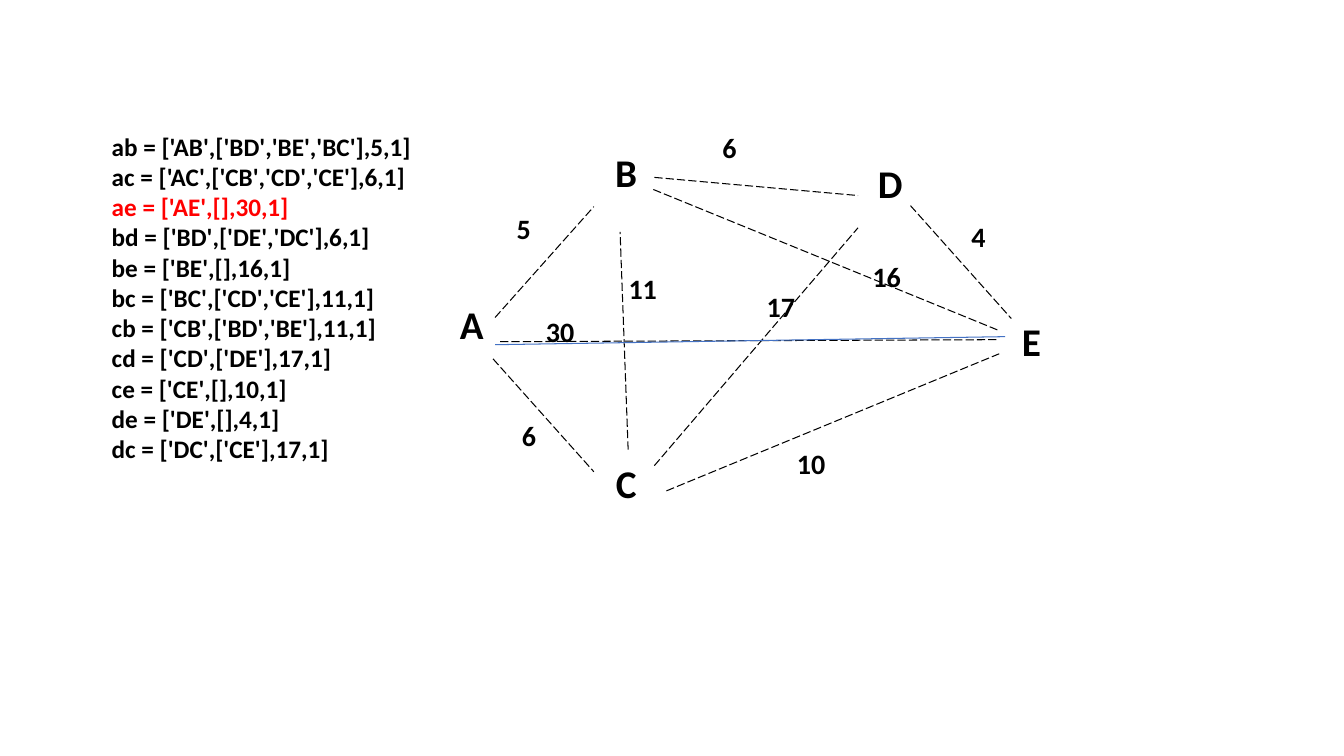
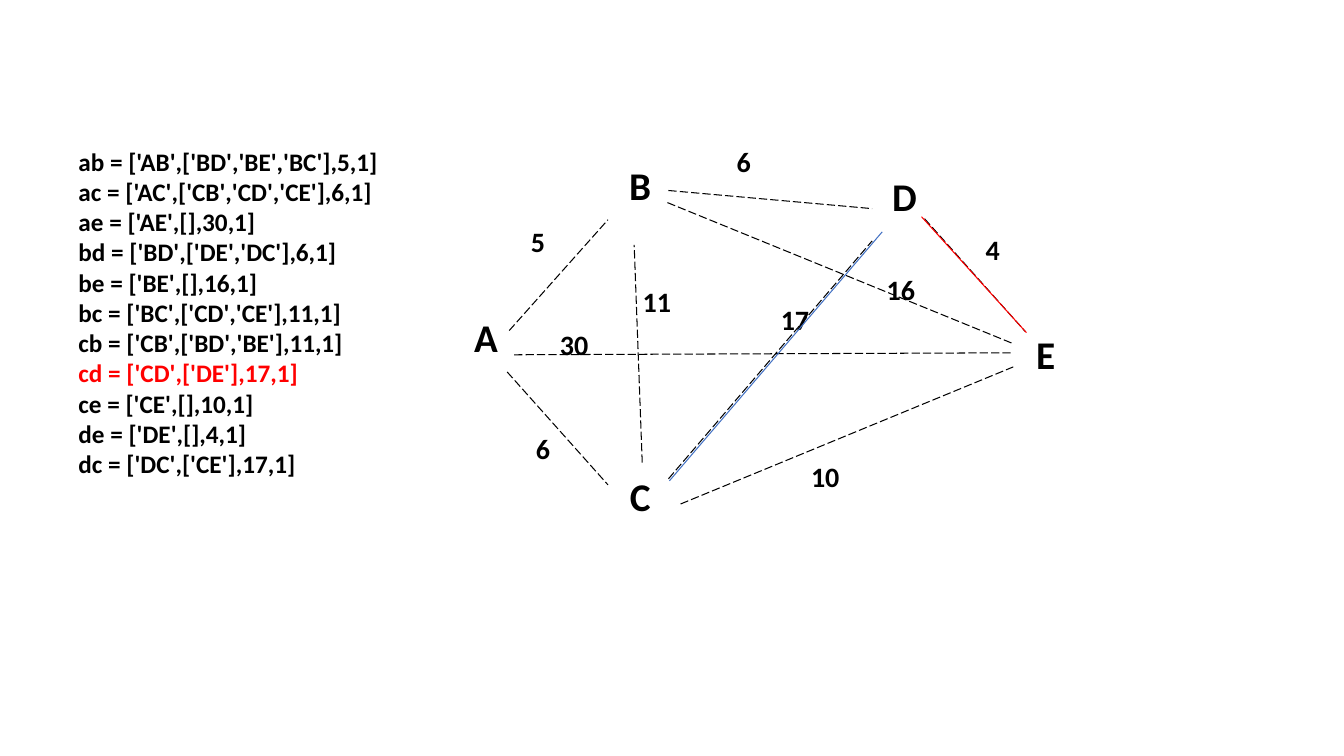
"""Build two slides that trace paths through a weighted graph."""
from dataclasses import dataclass

from lxml import etree
from pptx import Presentation
from pptx.dml.color import RGBColor
from pptx.enum.dml import MSO_LINE
from pptx.enum.shapes import MSO_CONNECTOR
from pptx.enum.text import PP_ALIGN
from pptx.oxml.ns import qn
from pptx.util import Inches, Pt

CENTER, LEFT = PP_ALIGN.CENTER, PP_ALIGN.LEFT
STRAIGHT = MSO_CONNECTOR.STRAIGHT
LONG_DASH = MSO_LINE.LONG_DASH


@dataclass(frozen=True)
class Theme:
    font: str = "Calibri"
    ink: RGBColor = RGBColor(0, 0, 0)
    accent: RGBColor = RGBColor(0xFF, 0, 0)
    path_line: RGBColor = RGBColor(0x44, 0x72, 0xC4)
    node_size: int = 28
    weight_size: int = 20
    list_size: int = 18
    line_width: float = 0.75


THEME = Theme()

ROUTES = [
    "ab = ['AB',['BD','BE','BC'],5,1]",
    "ac = ['AC',['CB','CD','CE'],6,1]",
    "ae = ['AE',[],30,1]",
    "bd = ['BD',['DE','DC'],6,1]",
    "be = ['BE',[],16,1]",
    "bc = ['BC',['CD','CE'],11,1]",
    "cb = ['CB',['BD','BE'],11,1]",
    "cd = ['CD',['DE'],17,1]",
    "ce = ['CE',[],10,1]",
    "de = ['DE',[],4,1]",
    "dc = ['DC',['CE'],17,1]",
]

NODES = [("A", 4.36, 2.93), ("E", 9.91, 3.1), ("B", 5.89, 1.42),
         ("C", 5.89, 4.51), ("D", 8.51, 1.53)]

EDGES = [
    (4.89, 3.56, 5.89, 4.68),
    (6.23, 4.46, 6.15, 2.3),
    (6.49, 1.76, 8.51, 1.94),
    (4.91, 3.15, 5.89, 2.05),
    (6.48, 1.88, 9.91, 3.28),
    (6.61, 4.87, 9.91, 3.51),
    (9.03, 2.04, 10.03, 3.16),
    (6.49, 4.62, 8.51, 2.26),
    (4.96, 3.39, 9.91, 3.37),
]

WEIGHTS = [("5", 4.84, 2.05), ("6", 4.89, 4.1), ("10", 7.69, 4.38),
           ("30", 5.2, 3.07), ("16", 8.44, 2.52), ("11", 6.02, 2.64),
           ("6", 6.88, 1.25), ("4", 9.35, 2.13), ("17", 7.39, 2.82)]


class Deck:
    def __init__(self, theme):
        self.theme = theme
        self.prs = Presentation()
        self.prs.slide_width = Inches(13.33)
        self.prs.slide_height = Inches(7.5)
        self.s = None

    def slide(self):
        self.s = self.prs.slides.add_slide(self.prs.slide_layouts[6])

    def text(self, lines, x, y, w, h, size, align=LEFT, marked=None):
        tf = self.s.shapes.add_textbox(
            Inches(x), Inches(y), Inches(w), Inches(h)).text_frame
        tf.word_wrap = True
        for i, line in enumerate(lines):
            p = tf.add_paragraph() if i else tf.paragraphs[0]
            p.alignment = align
            r = p.add_run()
            r.text = line
            r.font.name = self.theme.font
            r.font.size = Pt(size)
            r.font.bold = True
            r.font.color.rgb = (
                self.theme.accent if line == marked else self.theme.ink)

    def line(self, x1, y1, x2, y2, color, dash=None):
        sp = self.s.shapes.add_connector(
            STRAIGHT, Inches(x1), Inches(y1), Inches(x2), Inches(y2))
        sp.line.color.rgb = color
        sp.line.width = Pt(self.theme.line_width)
        if dash:
            sp.line.dash_style = dash
        etree.SubElement(sp._element.spPr, qn("a:effectLst"))

    def graph(self, dx=0, dy=0):
        t = self.theme
        for name, x, y in NODES:
            self.text([name], x + dx, y + dy, 0.64, 0.81, t.node_size, CENTER)
        for x1, y1, x2, y2 in EDGES:
            self.line(x1 + dx, y1 + dy, x2 + dx, y2 + dy, t.ink, LONG_DASH)
        for weight, x, y in WEIGHTS:
            self.text([weight], x + dx, y + dy, 0.71, 0.62, t.weight_size, CENTER)

    def routes(self, x, y, marked):
        self.text(ROUTES, x, y, 3.62, 4.04, self.theme.list_size, marked=marked)


def main():
    deck = Deck(THEME)

    deck.slide()
    deck.graph()
    deck.routes(1.01, 1.25, marked="ae = ['AE',[],30,1]")
    deck.line(4.91, 3.42, 9.97, 3.34, THEME.path_line)

    deck.slide()
    deck.graph(dx=0.14, dy=0.13)
    deck.routes(0.68, 1.4, marked="cd = ['CD',['DE'],17,1]")
    deck.line(8.75, 2.3, 6.64, 4.77, THEME.path_line)
    deck.line(9.14, 2.15, 10.18, 3.3, THEME.accent)

    deck.prs.save("out.pptx")


if __name__ == "__main__":
    main()
